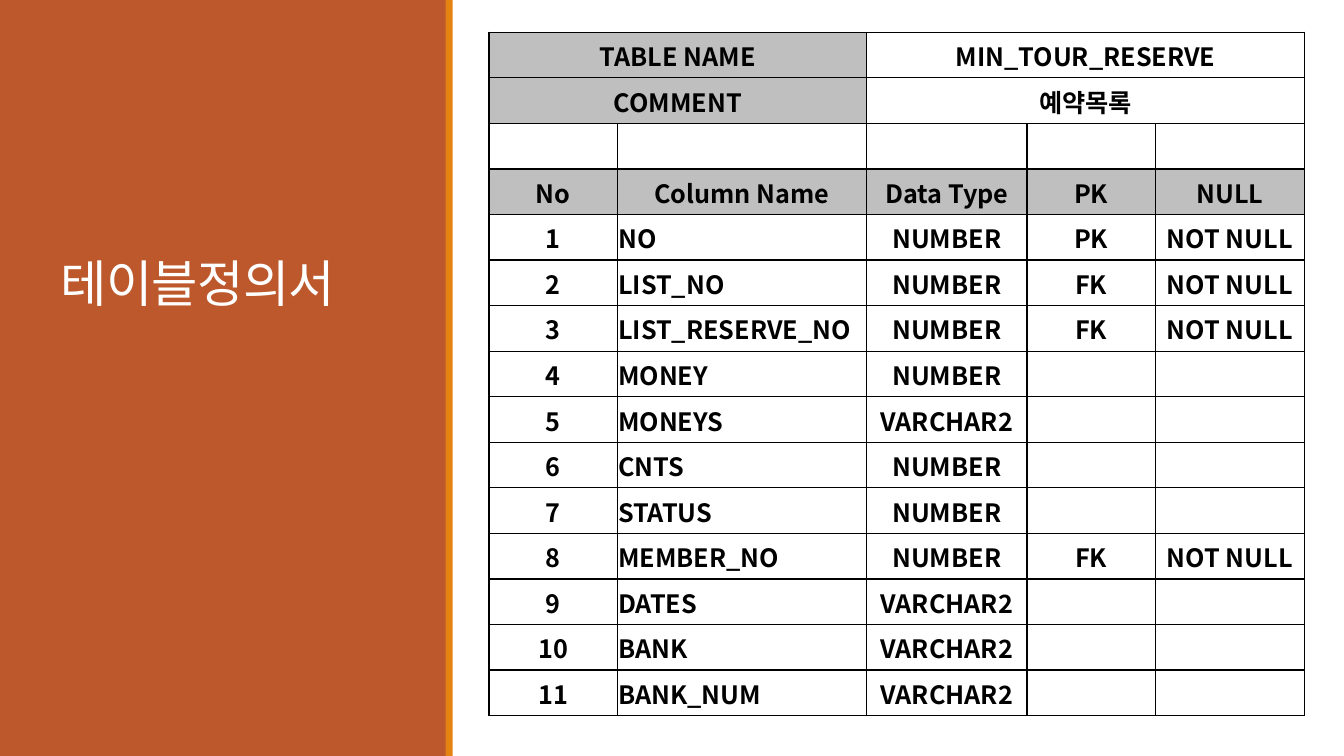
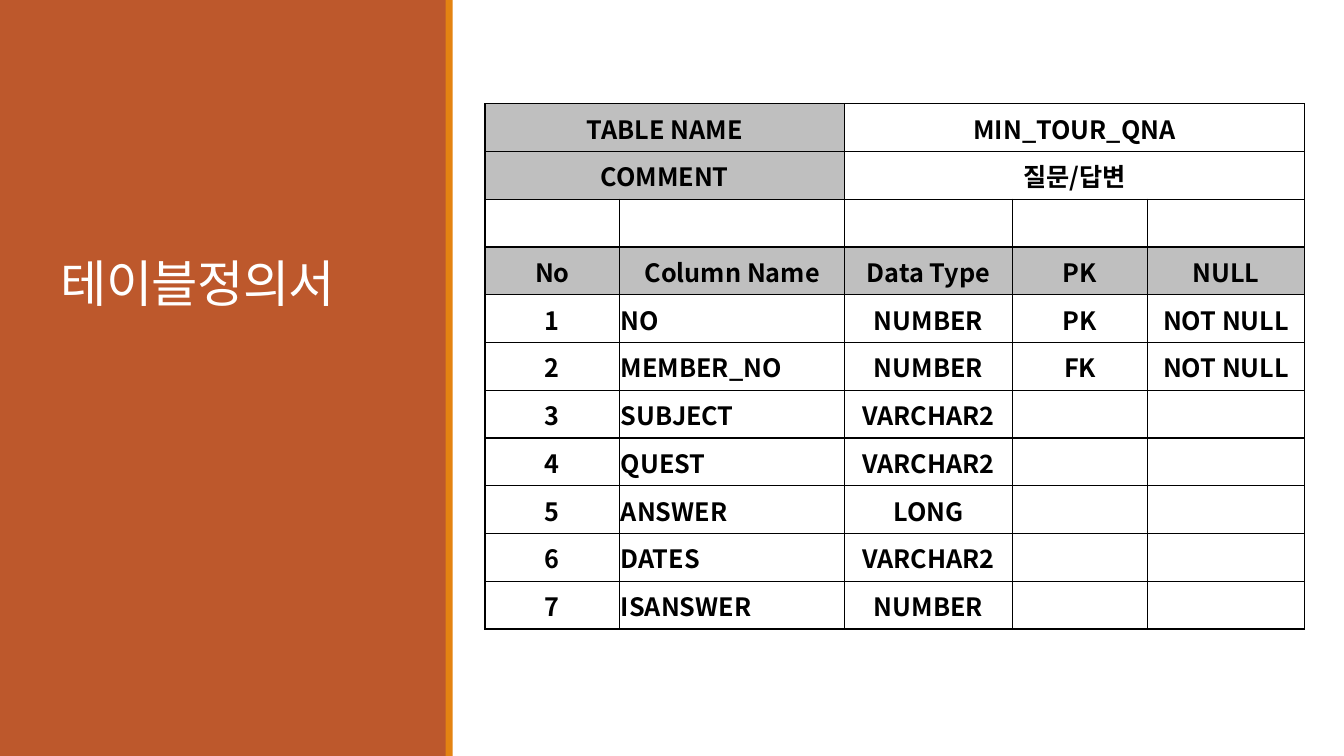
from lxml.etree import SubElement
from pptx import Presentation
from pptx.dml.color import RGBColor
from pptx.enum.shapes import MSO_SHAPE
from pptx.enum.text import MSO_ANCHOR, MSO_AUTO_SIZE, PP_ALIGN
from pptx.oxml.ns import qn
from pptx.util import Inches, Pt

SLIDE_SIZE = (13.33, 7.5)
PANEL_BOX = (0, 0, 4.43, 7.5)
STRIPE_BOX = (4.42, 0, 0.07, 7.5)
TITLE_BOX = (0.5, 0.65, 3.5, 2.5)
TITLE_FONT, TABLE_FONT = "Calibri", "Noto Sans CJK KR"
RUST, ORANGE, GREY, WHITE, BLACK = "BD582C", "E48312", "BFBFBF", "FFFFFF", "000000"
COLUMN_HEADS = ("No", "Column Name", "Data Type", "PK", "NULL")
HEAD_ROW = 3
NAME_COLUMN = 1
PRIMARY, FOREIGN, PLAIN = ("PK", "NOT NULL"), ("FK", "NOT NULL"), ("", "")

DEFINITIONS = (
    {
        "name": "MIN_TOUR_RESERVE",
        "comment": "예약목록",
        "box": (4.85, 0.32, 8.09, 6.78),
        "column_widths": (1.27, 2.47, 1.59, 1.27, 1.48),
        "fields": (
            ("NO", "NUMBER", PRIMARY),
            ("LIST_NO", "NUMBER", FOREIGN),
            ("LIST_RESERVE_NO", "NUMBER", FOREIGN),
            ("MONEY", "NUMBER", PLAIN),
            ("MONEYS", "VARCHAR2", PLAIN),
            ("CNTS", "NUMBER", PLAIN),
            ("STATUS", "NUMBER", PLAIN),
            ("MEMBER_NO", "NUMBER", FOREIGN),
            ("DATES", "VARCHAR2", PLAIN),
            ("BANK", "VARCHAR2", PLAIN),
            ("BANK_NUM", "VARCHAR2", PLAIN),
        ),
    },
    {
        "name": "MIN_TOUR_QNA",
        "comment": "질문/답변",
        "box": (4.81, 1.03, 8.13, 5.21),
        "column_widths": (1.34, 2.23, 1.67, 1.34, 1.56),
        "fields": (
            ("NO", "NUMBER", PRIMARY),
            ("MEMBER_NO", "NUMBER", FOREIGN),
            ("SUBJECT", "VARCHAR2", PLAIN),
            ("QUEST", "VARCHAR2", PLAIN),
            ("ANSWER", "LONG", PLAIN),
            ("DATES", "VARCHAR2", PLAIN),
            ("ISANSWER", "NUMBER", PLAIN),
        ),
    },
)


def paint(fill, color):
    """Give a fill one solid hex colour."""
    fill.solid()
    fill.fore_color.rgb = RGBColor.from_string(color)


def add_text(paragraph, text, font_name, size, color, bold=False):
    """Add one formatted run and return it."""
    run = paragraph.add_run()
    run.text = text
    run.font.size, run.font.bold = Pt(size), bold
    run.font.color.rgb = RGBColor.from_string(color)
    run.font.name = font_name
    return run


def add_band(slide, box, color):
    """Add a plain filled rectangle."""
    band = slide.shapes.add_shape(MSO_SHAPE.RECTANGLE, *map(Inches, box))
    band.shadow.inherit = False
    band.line.fill.background()
    paint(band.fill, color)
    return band


def style_layout(layout, slide):
    """Place the title and the side bands on the layout shared by all slides."""
    title = next(iter(layout.placeholders))
    title.left, title.top, title.width, title.height = map(Inches, TITLE_BOX)
    for box, color in ((PANEL_BOX, RUST), (STRIPE_BOX, ORANGE)):
        title.element.addprevious(add_band(slide, box, color).element)


def fill_title(slide, text):
    """Write the slide title in the side panel."""
    frame = slide.shapes.title.text_frame
    frame.word_wrap = True
    frame.auto_size = MSO_AUTO_SIZE.NONE
    frame.vertical_anchor = MSO_ANCHOR.BOTTOM
    paragraph = frame.paragraphs[0]
    paragraph.alignment = PP_ALIGN.LEFT
    paragraph.line_spacing = 0.85
    run = add_text(paragraph, text, TITLE_FONT, 36, WHITE)
    run.font._element.set("spc", "-50")


def add_borders(cell):
    """Draw a thin black line on every side of a cell."""
    properties = cell._tc.get_or_add_tcPr()
    for side in ("a:lnL", "a:lnR", "a:lnT", "a:lnB"):
        line = SubElement(properties, qn(side), w=str(Pt(1)))
        solid = SubElement(line, qn("a:solidFill"))
        SubElement(solid, qn("a:srgbClr"), val=BLACK)


def format_cell(cell, text, alignment, color):
    """Set the borders, fill, insets and text of a table cell."""
    add_borders(cell)
    paint(cell.fill, color)
    cell.margin_left = cell.margin_right = cell.margin_top = Inches(0.01)
    cell.margin_bottom = 0
    cell.vertical_anchor = MSO_ANCHOR.MIDDLE
    paragraph = cell.text_frame.paragraphs[0]
    paragraph.alignment = alignment
    paragraph.font.size = Pt(18)
    if text:
        run = add_text(paragraph, text, TABLE_FONT, 18, BLACK, bold=True)
        SubElement(run.font._element, qn("a:ea"), typeface=TABLE_FONT)


def add_definition_table(slide, box, name, comment, column_widths, fields):
    """Fit the definition of one database table into a box."""
    rows = [
        ("TABLE NAME", "", name, "", ""),
        ("COMMENT", "", comment, "", ""),
        ("",) * len(COLUMN_HEADS),
        COLUMN_HEADS,
    ]
    for number, (field, data_type, keys) in enumerate(fields, 1):
        rows.append((str(number), field, data_type, *keys))
    left, top, width, height = map(Inches, box)
    frame = slide.shapes.add_table(len(rows), len(COLUMN_HEADS), left, top, width, height)
    table = frame.table
    table.first_row = table.horz_banding = False
    for column, share in zip(table.columns, column_widths):
        column.width = int(width * share / sum(column_widths))
    for row_index, texts in enumerate(rows):
        table.rows[row_index].height = height // len(rows)
        for column_index, text in enumerate(texts):
            is_label = row_index < 2 and column_index < 2
            color = GREY if is_label or row_index == HEAD_ROW else WHITE
            is_name = row_index > HEAD_ROW and column_index == NAME_COLUMN
            alignment = PP_ALIGN.LEFT if is_name else PP_ALIGN.CENTER
            format_cell(table.cell(row_index, column_index), text, alignment, color)
    for row_index in range(2):
        table.cell(row_index, 0).merge(table.cell(row_index, 1))
        table.cell(row_index, 2).merge(table.cell(row_index, 4))


def main():
    """Build and save the presentation."""
    presentation = Presentation()
    presentation.slide_width, presentation.slide_height = map(Inches, SLIDE_SIZE)
    layout = presentation.slide_layouts.get_by_name("Title Only")
    slides = [presentation.slides.add_slide(layout) for _ in DEFINITIONS]
    style_layout(layout, slides[0])
    for slide, definition in zip(slides, DEFINITIONS):
        fill_title(slide, "테이블정의서")
        add_definition_table(slide, **definition)
    presentation.save("out.pptx")


if __name__ == "__main__":
    main()
